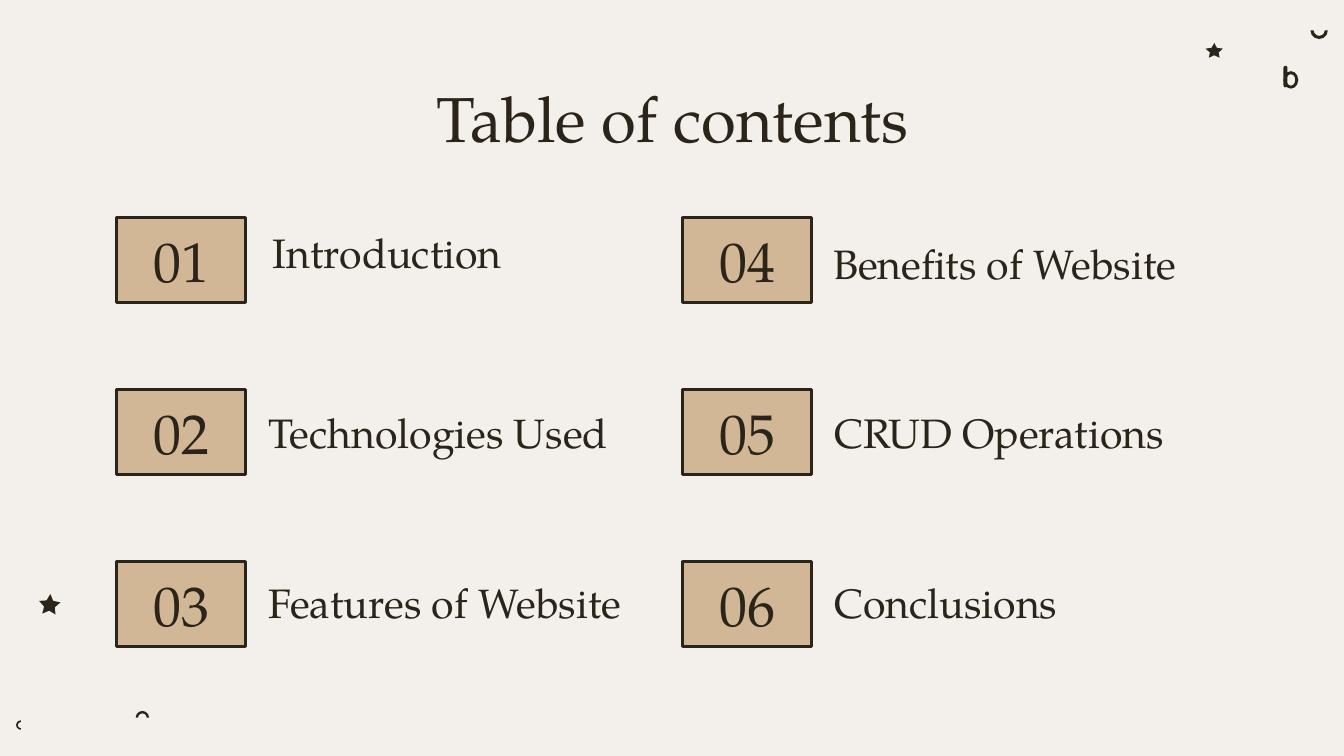
from pptx import Presentation
from pptx.dml.color import RGBColor
from pptx.enum.shapes import MSO_SHAPE
from pptx.enum.text import MSO_ANCHOR, MSO_AUTO_SIZE, PP_ALIGN
from pptx.util import Inches, Pt

RECT, ROUND, STAR = MSO_SHAPE.RECTANGLE, MSO_SHAPE.ROUNDED_RECTANGLE, MSO_SHAPE.STAR_5_POINT
ARC, RING = MSO_SHAPE.BLOCK_ARC, MSO_SHAPE.DONUT
TOP, MIDDLE, BOTTOM = MSO_ANCHOR.TOP, MSO_ANCHOR.MIDDLE, MSO_ANCHOR.BOTTOM
LEFT, CENTER = PP_ALIGN.LEFT, PP_ALIGN.CENTER
NO_FIT = MSO_AUTO_SIZE.NONE

FONT = "TeX Gyre Pagella"
INK, TAN, PAPER = "2B241A", "D1B796", "F3EFEA"

# Slide in 16:9 format, in inches
SLIDE_W = 10
SLIDE_H = SLIDE_W * 9 / 16

# Grid of numbered boxes, in inches
COL_X, COL_STEP = 0.87, 4.21
ROW_Y, ROW_STEP = 1.62, 1.28
BOX_W, BOX_H = 0.96, 0.63
LABEL_H = 0.53

# Label, left, top, width; filled column by column
ENTRIES = [
    ("Introduction", 1.93, 1.63, 3.02),
    ("Technologies Used", 1.9, 2.97, 3.02),
    ("Features of Website", 1.9, 4.23, 3.33),
    ("Benefits of Website", 6.1, 1.71, 3.02),
    ("CRUD Operations", 6.11, 2.97, 3.02),
    ("Conclusions", 6.11, 4.23, 3.02),
]


def color(value):
    return RGBColor.from_string(value)


def inches(*lengths):
    return [Inches(v) for v in lengths]


def set_text(sp, text, size, align, anchor, spacing=1.0):
    tf = sp.text_frame
    tf.text = text
    tf.word_wrap = True
    tf.auto_size = NO_FIT
    tf.vertical_anchor = anchor
    tf.margin_left = tf.margin_right = tf.margin_top = tf.margin_bottom = Inches(0.1)
    p = tf.paragraphs[0]
    p.alignment = align
    p.line_spacing = spacing
    p.font.name = FONT
    p.font.size = Pt(size)
    p.font.color.rgb = color(INK)


def add_shape(s, kind, box, fill, line=None):
    sp = s.shapes.add_shape(kind, *inches(*box))
    sp.shadow.inherit = False
    sp.fill.solid()
    sp.fill.fore_color.rgb = color(fill)
    if line:
        sp.line.color.rgb = color(line)
        sp.line.width = Pt(1.5)
    else:
        sp.line.fill.background()
    return sp


def add_title(s, text):
    title = s.shapes.title
    title.left, title.top, title.width, title.height = inches(0.79, 0.49, 8.43, 0.63)
    set_text(title, text, 34, CENTER, TOP)


def add_entry(s, index, label, x, y, width):
    col, row = divmod(index, 3)
    box = (COL_X + col * COL_STEP, ROW_Y + row * ROW_STEP, BOX_W, BOX_H)
    number = add_shape(s, RECT, box, TAN, INK)
    set_text(number, f"{index + 1:02d}", 30, CENTER, MIDDLE)
    caption = s.shapes.add_textbox(*inches(x, y, width, LABEL_H))
    set_text(caption, label, 22, LEFT, BOTTOM, 1.15)


def add_star(s, x, y, width, height, rotation):
    star = add_shape(s, STAR, (x, y, width, height), INK)
    star.adjustments[0] = 0.25
    star.rotation = rotation


def add_arc(s, x, y, diameter, rotation):
    arc = add_shape(s, ARC, (x, y, diameter, diameter), INK)
    arc.adjustments[2] = 0.18
    arc.rotation = rotation


def add_decorations(s):
    add_star(s, 0.29, 4.42, 0.16, 0.15, 4)
    add_star(s, 8.97, 0.32, 0.13, 0.11, 0)
    # Small arcs: open to the right, down and up
    add_arc(s, 0.12, 5.36, 0.07, 270)
    add_arc(s, 1.01, 5.29, 0.1, 0)
    add_arc(s, 9.75, 0.16, 0.13, 180)
    # Ring with a stem
    add_shape(s, RING, (9.55, 0.53, 0.11, 0.13), INK).adjustments[0] = 0.2
    add_shape(s, ROUND, (9.55, 0.49, 0.03, 0.16), INK).adjustments[0] = 0.5


def main():
    prs = Presentation()
    prs.slide_width, prs.slide_height = inches(SLIDE_W, SLIDE_H)
    s = prs.slides.add_slide(prs.slide_layouts[5])
    s.background.fill.solid()
    s.background.fill.fore_color.rgb = color(PAPER)
    add_decorations(s)
    add_title(s, "Table of contents")
    for index, entry in enumerate(ENTRIES):
        add_entry(s, index, *entry)
    prs.save("out.pptx")


if __name__ == "__main__":
    main()
